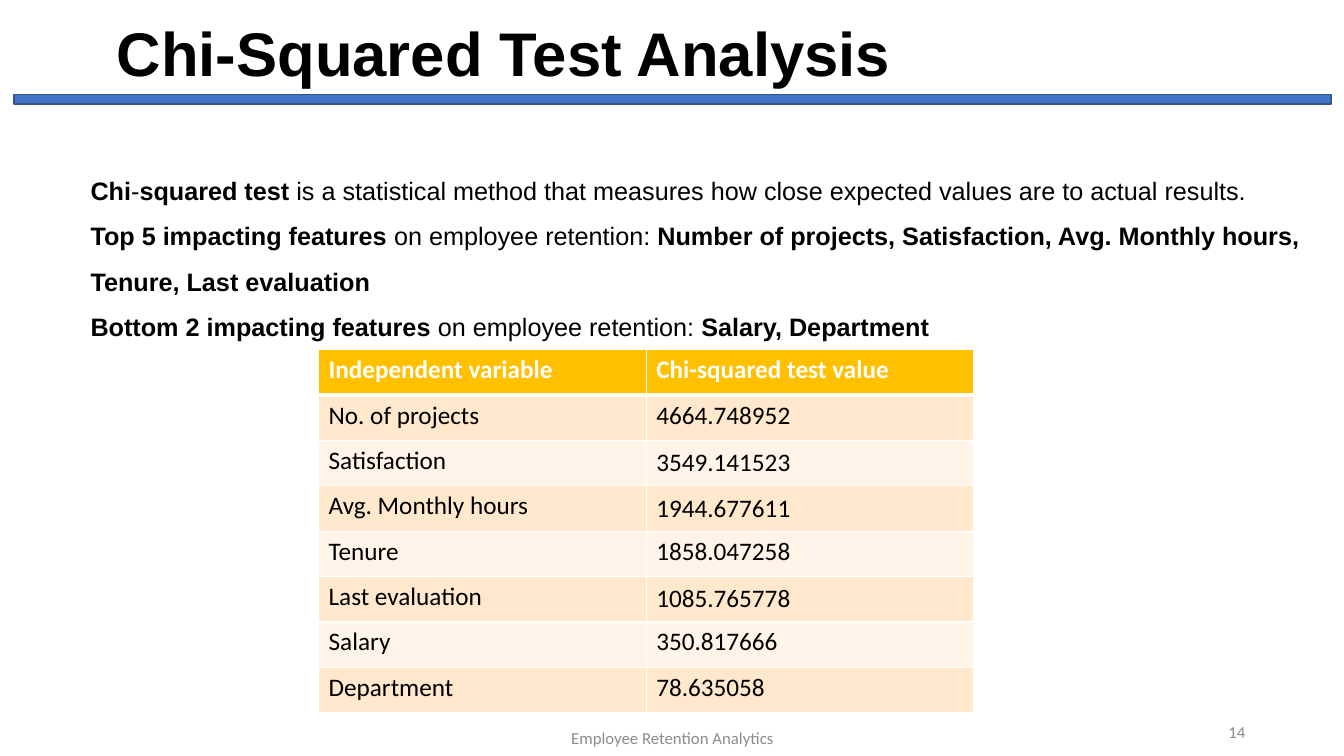
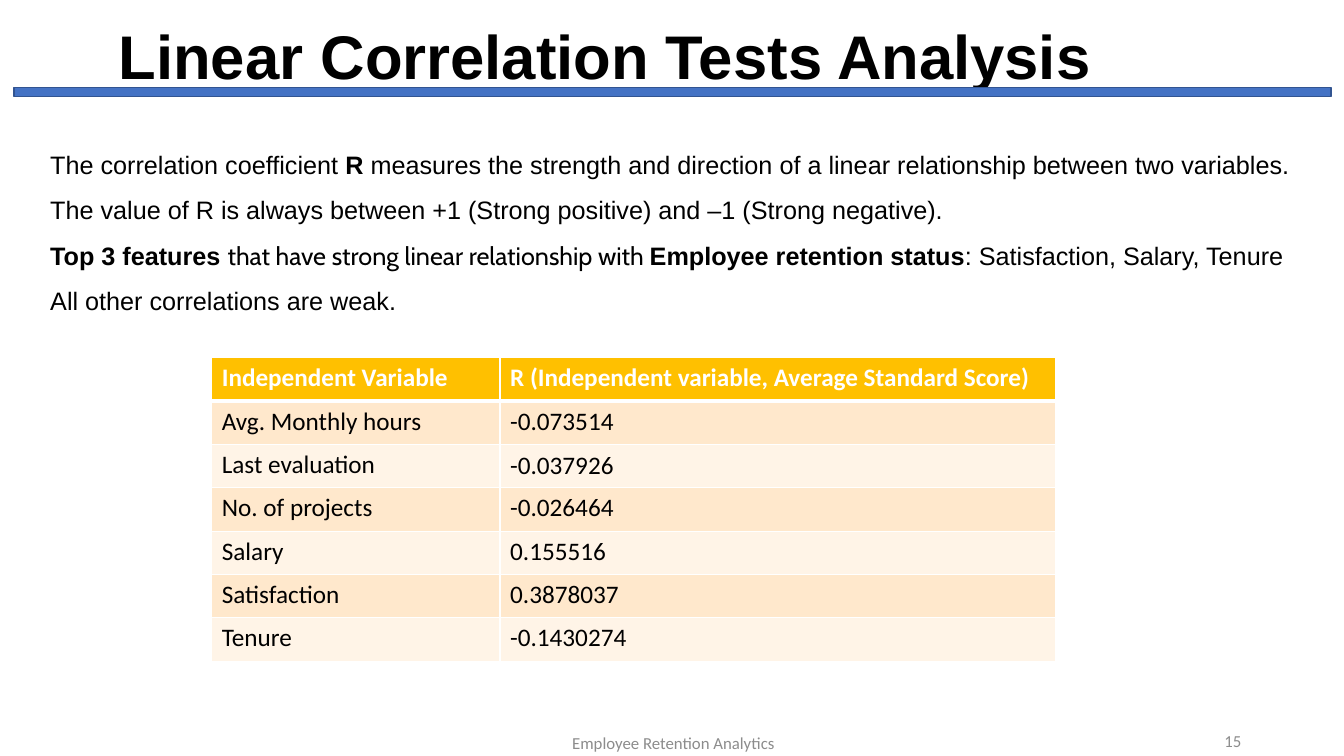
from dataclasses import dataclass

from lxml.etree import SubElement
from pptx import Presentation
from pptx.dml.color import RGBColor
from pptx.enum.shapes import MSO_SHAPE
from pptx.enum.text import MSO_ANCHOR, PP_ALIGN
from pptx.oxml.ns import qn
from pptx.util import Inches, Pt


@dataclass(frozen=True)
class Theme:
    black = RGBColor.from_string("000000")
    white = RGBColor.from_string("FFFFFF")
    gray = RGBColor.from_string("8C8C8C")
    band = RGBColor.from_string("4472C4")
    band_line = RGBColor.from_string("325491")
    header = RGBColor.from_string("FFC000")
    rows = (RGBColor.from_string("FFF4E7"), RGBColor.from_string("FFE8CC"))
    heading_font = "Arial"
    table_font = "Calibri"
    accent_font = "Cabin"
    title_size = Pt(44)
    body_size = Pt(18)
    footer_size = Pt(12)
    body_spacing = Pt(32.4)


theme = Theme()

# Body runs are (text, bold) or (text, bold, font); positions are in inches.
# "centered" lists the table rows whose value is centred vertically.
slides = [
    {
        "title": "Chi-Squared Test Analysis",
        "title_at": (1.06, 0.1),
        "band_top": 0.94,
        "body_at": (0.8, 1.54, 12.5),
        "body": [
            [("Chi", True), ("-", False), ("squared test", True),
             (" is a statistical method that measures how close expected values"
              " are to actual results.", False)],
            [("Top 5 impacting features ", True), ("on employee retention: ", False),
             ("Number of projects, Satisfaction, Avg. Monthly hours, Tenure, "
              "Last evaluation", True)],
            [("Bottom 2 impacting features ", True), ("on employee retention: ", False),
             ("Salary, Department", True)],
        ],
        "table_at": (3.16, 3.47),
        "columns": (3.25, 3.25),
        "row_height": 0.45,
        "centered": (2, 3, 5),
        "table": [
            ("Independent variable", "Chi-squared test value"),
            ("No. of projects", "4664.748952"),
            ("Satisfaction", "3549.141523"),
            ("Avg. Monthly hours", "1944.677611"),
            ("Tenure", "1858.047258"),
            ("Last evaluation", "1085.765778"),
            ("Salary", "350.817666"),
            ("Department", "78.635058"),
        ],
        "footer_at": (4.42, 7.12),
        "number": "14",
        "number_at": (9.45, 7.06),
    },
    {
        "title": "Linear Correlation Tests Analysis",
        "title_at": (1.08, 0.13),
        "band_top": 0.87,
        "body_at": (0.4, 1.28, 12.9),
        "body": [
            [("The correlation coefficient ", False), ("R", True),
             (" measures the strength and direction of a linear relationship"
              " between two variables.", False)],
            [("The value of R is always between +1 (Strong positive) and"
              " –1 (Strong negative).", False)],
            [("Top 3 features ", True),
             ("that have strong linear relationship with ", False, theme.accent_font),
             ("Employee retention status", True),
             (": Satisfaction, Salary, Tenure", False)],
            [("All other correlations are weak.", False)],
        ],
        "table_at": (2.1, 3.55),
        "columns": (2.86, 5.51),
        "row_height": 0.43,
        "centered": (2,),
        "table": [
            ("Independent Variable", "R (Independent variable, Average Standard Score)"),
            ("Avg. Monthly hours", "-0.073514"),
            ("Last evaluation", "-0.037926"),
            ("No. of projects", "-0.026464"),
            ("Salary", "0.155516"),
            ("Satisfaction", "0.3878037"),
            ("Tenure", "-0.1430274"),
        ],
        "footer_at": (4.43, 7.17),
        "number": "15",
        "number_at": (9.41, 7.15),
    },
]


def add_text(slide, position, size, paragraphs, font, font_size, color,
             align=PP_ALIGN.LEFT, anchor=MSO_ANCHOR.TOP, spacing=1.0):
    """Add a text box; each paragraph is a list of (text, bold[, font]) runs."""
    box = slide.shapes.add_textbox(*map(Inches, position + size))
    frame = box.text_frame
    frame.word_wrap = True
    frame.vertical_anchor = anchor
    for index, runs in enumerate(paragraphs):
        paragraph = frame.add_paragraph() if index else frame.paragraphs[0]
        paragraph.alignment = align
        paragraph.line_spacing = spacing
        paragraph.font.size = font_size
        paragraph.font.color.rgb = color
        for text, bold, *run_font in runs:
            run = paragraph.add_run()
            run.text = text
            run.font.bold = bold
            run.font.name = run_font[0] if run_font else font


def set_borders(cell, bottom_width):
    properties = cell._tc.get_or_add_tcPr()
    widths = {"a:lnL": 1, "a:lnR": 1, "a:lnT": 1, "a:lnB": bottom_width}
    for index, (tag, width) in enumerate(widths.items()):
        line = SubElement(properties, qn(tag), w=str(Pt(width)))
        fill = SubElement(line, qn("a:solidFill"))
        SubElement(fill, qn("a:srgbClr"), val=str(theme.white))
        properties.insert(index, line)


presentation = Presentation()
presentation.slide_width = Inches(13.33)
presentation.slide_height = Inches(7.5)

for content in slides:
    slide = presentation.slides.add_slide(presentation.slide_layouts[6])

    add_text(slide, content["body_at"][:2], (content["body_at"][2], 1.85),
             content["body"], theme.heading_font, theme.body_size, theme.black,
             spacing=theme.body_spacing)
    add_text(slide, content["title_at"], (11.5, 0.8), [[(content["title"], True)]],
             theme.heading_font, theme.title_size, theme.black)

    band = slide.shapes.add_shape(MSO_SHAPE.RECTANGLE, Inches(0.14),
                                  Inches(content["band_top"]), Inches(13.06), Inches(0.09))
    band.shadow.inherit = False
    band.fill.solid()
    band.fill.fore_color.rgb = theme.band
    band.line.color.rgb = theme.band_line
    band.line.width = Pt(1)

    for text, position, width, align in (
        ("Employee Retention Analytics", content["footer_at"], 4.5, PP_ALIGN.CENTER),
        (content["number"], content["number_at"], 3, PP_ALIGN.RIGHT),
    ):
        add_text(slide, position, (width, 0.4), [[(text, False)]], theme.table_font,
                 theme.footer_size, theme.gray, align, MSO_ANCHOR.MIDDLE)

    rows, columns = content["table"], content["columns"]
    table = slide.shapes.add_table(
        len(rows), len(columns), *map(Inches, content["table_at"]),
        Inches(sum(columns)), Inches(content["row_height"] * len(rows))).table
    for column, width in zip(table.columns, columns):
        column.width = Inches(width)
    for row_index, values in enumerate(rows):
        is_header = row_index == 0
        table.rows[row_index].height = Inches(content["row_height"])
        for column_index, value in enumerate(values):
            cell = table.cell(row_index, column_index)
            cell.text = value
            cell.fill.solid()
            cell.fill.fore_color.rgb = theme.header if is_header else theme.rows[row_index % 2]
            if column_index == 1 and row_index in content["centered"]:
                cell.vertical_anchor = MSO_ANCHOR.MIDDLE
                cell.margin_top = cell.margin_bottom = Inches(0.02)
            set_borders(cell, 3 if is_header else 1)
            font = cell.text_frame.paragraphs[0].font
            font.name = theme.table_font
            font.size = theme.body_size
            font.bold = is_header
            font.color.rgb = theme.white if is_header else theme.black

presentation.save("out.pptx")
